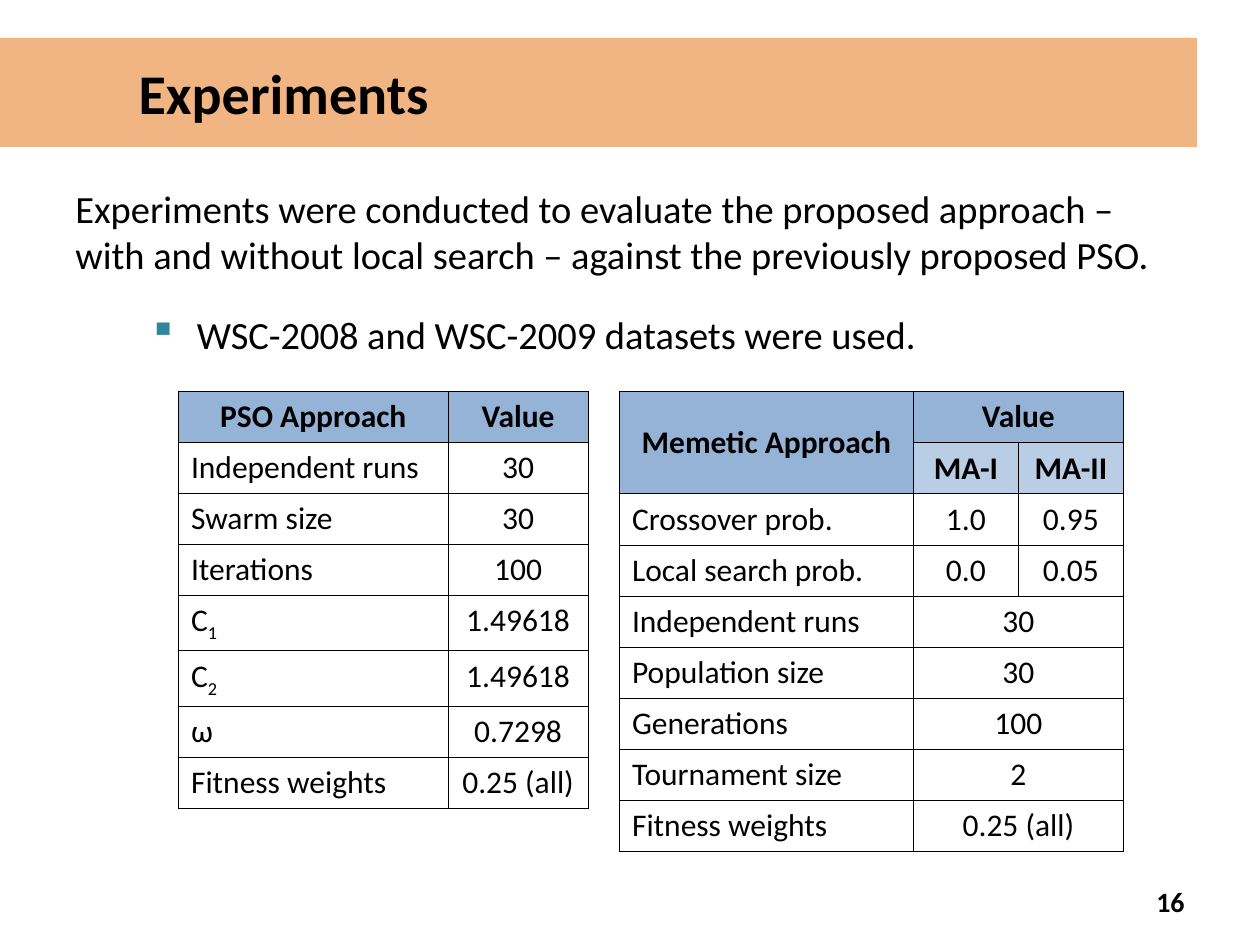
"""Build the Experiments slide with its two parameter tables."""
from lxml.etree import SubElement
from pptx import Presentation
from pptx.dml.color import RGBColor
from pptx.enum.text import MSO_ANCHOR, MSO_AUTO_SIZE, PP_ALIGN
from pptx.oxml.ns import qn
from pptx.util import Inches, Pt

COLORS = {
    "text": "000000",
    "band": "E46C0A",
    "bullet": "31859C",
    "header": "95B3D7",
    "subheader": "B9CDE5",
    "body": "FFFFFF",
}

presentation = Presentation()
presentation.slide_width, presentation.slide_height = Inches(10), Inches(7.5)
UNIT = presentation.slide_width / 120


def write(frame, text, size, bold=False, align=PP_ALIGN.LEFT):
    """Write text into the first paragraph; an underscore starts a subscript."""
    paragraph = frame.paragraphs[0]
    paragraph.alignment = align
    for index, piece in enumerate(text.split("_")):
        run = paragraph.add_run()
        run.text = piece
        for name, value in {"name": "Calibri", "size": Pt(size), "bold": bold}.items():
            setattr(run.font, name, value)
        run.font.color.rgb = RGBColor.from_string(COLORS["text"])
        if index:
            run.font._element.set("baseline", "-25000") if hasattr(run.font, "_element") else run._r.get_or_add_rPr().set("baseline", "-25000")
    return paragraph


def add_grid(slide, left, top, widths, heights, rows, header_rows):
    """Add a bordered table; None continues the cell to its left."""
    shape = slide.shapes.add_table(
        len(rows), len(widths), *(int(n * UNIT) for n in (left, top, sum(widths), sum(heights)))
    )
    table = shape.table
    for parts, name, lengths in ((table.columns, "width", widths), (table.rows, "height", heights)):
        for part, length in zip(parts, lengths):
            setattr(part, name, int(length * UNIT))
    for row, texts in enumerate(rows):
        for column, text in enumerate(texts):
            cell = table.cell(row, column)
            properties = cell._tc.get_or_add_tcPr()
            for side in ("a:lnL", "a:lnR", "a:lnT", "a:lnB"):
                line = SubElement(properties, qn(side), w=str(Pt(0.45)))
                SubElement(SubElement(line, qn("a:solidFill")), qn("a:srgbClr"), val=COLORS["text"])
            is_header = row < header_rows
            role = "body" if not is_header else "subheader" if row and column else "header"
            cell.fill.solid()
            cell.fill.fore_color.rgb = RGBColor.from_string(COLORS[role])
            if text is None:
                if column:
                    table.cell(row, column - 1).merge(cell)
                continue
            centered = is_header or column > 0
            write(cell.text_frame, text, 18, is_header, PP_ALIGN.CENTER if centered else PP_ALIGN.LEFT)
    return table


slide = presentation.slides.add_slide(presentation.slide_layouts[5])

title = slide.shapes.title
title_box = {"left": 0, "top": 3.6, "width": 114, "height": 10.4}
for name, value in title_box.items():
    setattr(title, name, int(value * UNIT))
title.fill.solid()
title.fill.fore_color.rgb = RGBColor.from_string(COLORS["band"])
SubElement(title._element.spPr.find(".//" + qn("a:srgbClr")), qn("a:alpha"), val="50000")
title_format = {
    "margin_left": Inches(1.1),
    "vertical_anchor": MSO_ANCHOR.MIDDLE,
    "auto_size": MSO_AUTO_SIZE.NONE,
    "word_wrap": True,
}
for name, value in title_format.items():
    setattr(title.text_frame, name, value)
write(title.text_frame, "Experiments", 32, True)

INTRODUCTION = (
    "Experiments were conducted to evaluate the proposed approach – "
    "with and without local search – against the previously proposed PSO."
)
text_boxes = [
    ((86, 83.4, 28, 4.8), "16", 16, True, PP_ALIGN.RIGHT, MSO_ANCHOR.MIDDLE),
    ((6, 17, 108, 14), INTRODUCTION, 22, False, PP_ALIGN.LEFT, MSO_ANCHOR.TOP),
    ((13, 29, 87, 7), "WSC-2008 and WSC-2009 datasets were used.", 22, False, PP_ALIGN.LEFT, MSO_ANCHOR.TOP),
]
for box, text, size, bold, align, anchor in text_boxes:
    frame = slide.shapes.add_textbox(*(int(n * UNIT) for n in box)).text_frame
    frame.word_wrap = True
    frame.vertical_anchor = anchor
    paragraph = write(frame, text, size, bold, align)

bullet = paragraph._p.get_or_add_pPr()
for name, length in {"marL": 0.38, "indent": -0.38}.items():
    bullet.set(name, str(Inches(length)))
SubElement(SubElement(bullet, qn("a:buClr")), qn("a:srgbClr"), val=COLORS["bullet"])
SubElement(bullet, qn("a:buChar"), char="▪")

memetic_rows = [
    ("Memetic Approach", "Value", None),
    (None, "MA-I", "MA-II"),
    ("Crossover prob.", "1.0", "0.95"),
    ("Local search prob.", "0.0", "0.05"),
    ("Independent runs", "30", None),
    ("Population size", "30", None),
    ("Generations", "100", None),
    ("Tournament size", "2", None),
    ("Fitness weights", "0.25 (all)", None),
]
memetic_table = add_grid(slide, 59, 37.3, (28, 10, 10), [4.87] * len(memetic_rows), memetic_rows, 2)
memetic_header = memetic_table.cell(0, 0)
memetic_header.merge(memetic_table.cell(1, 0))
memetic_header.vertical_anchor = MSO_ANCHOR.MIDDLE

pso_rows = [
    ("PSO Approach", "Value"),
    ("Independent runs", "30"),
    ("Swarm size", "30"),
    ("Iterations", "100"),
    ("C_1", "1.49618"),
    ("C_2", "1.49618"),
    ("ω", "0.7298"),
    ("Fitness weights", "0.25 (all)"),
]
pso_heights = [5.3 if "_" in name else 4.85 for name, value in pso_rows]
add_grid(slide, 17, 37.3, (25.7, 13.3), pso_heights, pso_rows, 1)

presentation.save("out.pptx")
